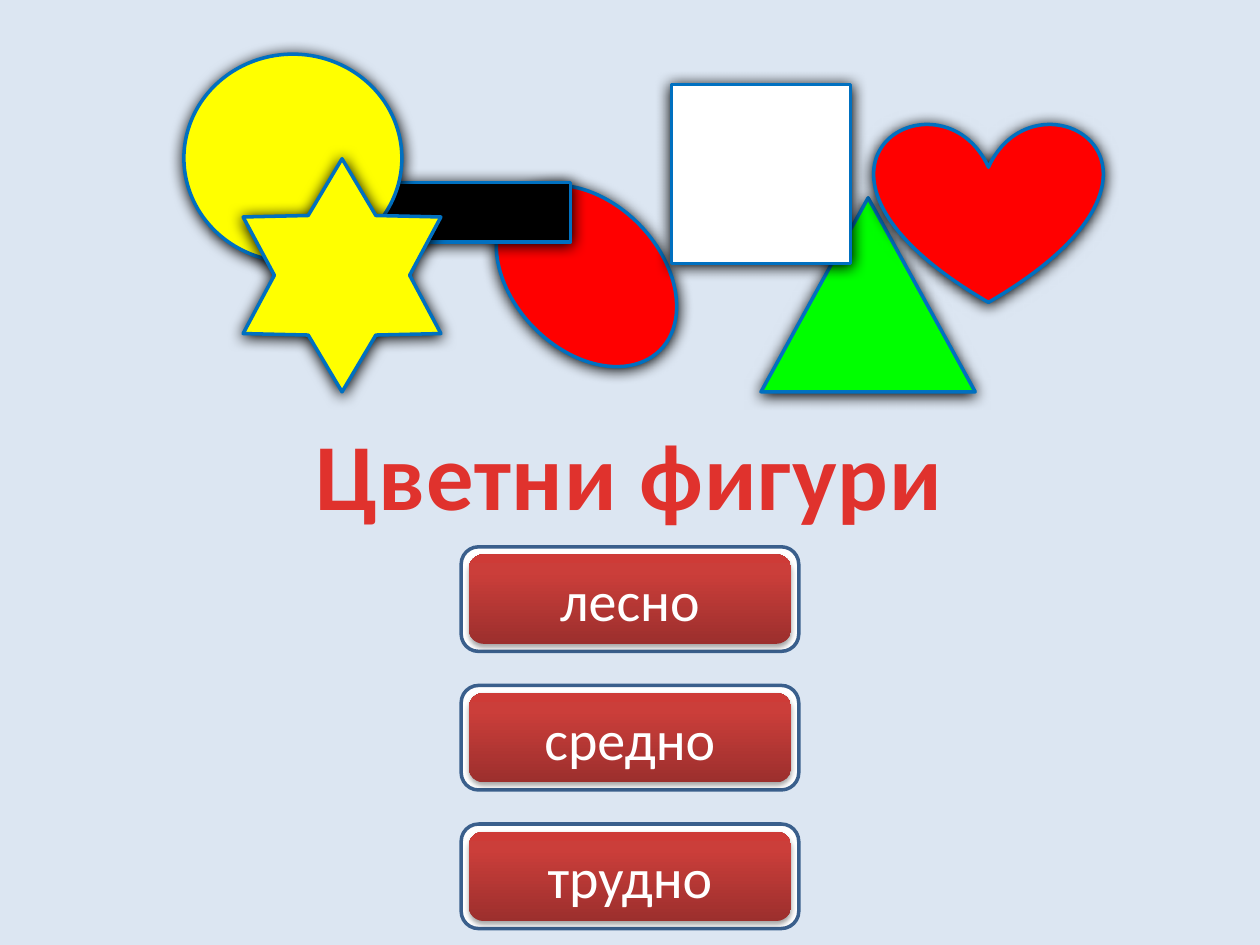
from copy import deepcopy

from lxml import etree
from pptx import Presentation
from pptx.dml.color import RGBColor
from pptx.enum.shapes import MSO_SHAPE
from pptx.enum.text import MSO_ANCHOR, MSO_AUTO_SIZE, PP_ALIGN
from pptx.oxml.ns import qn
from pptx.util import Inches, Pt

OVAL = MSO_SHAPE.OVAL
RECT = MSO_SHAPE.RECTANGLE
ROUND = MSO_SHAPE.ROUNDED_RECTANGLE
STAR = MSO_SHAPE.STAR_6_POINT
TRIANGLE = MSO_SHAPE.ISOSCELES_TRIANGLE
HEART = MSO_SHAPE.HEART
CENTER = PP_ALIGN.CENTER
MIDDLE = MSO_ANCHOR.MIDDLE
GROW = MSO_AUTO_SIZE.SHAPE_TO_FIT_TEXT

PALE = RGBColor(0xDC, 0xE6, 0xF2)
RED = RGBColor(0xFF, 0x00, 0x00)
YELLOW = RGBColor(0xFF, 0xFF, 0x00)
GREEN = RGBColor(0x00, 0xFF, 0x00)
BLACK = RGBColor(0x00, 0x00, 0x00)
WHITE = RGBColor(0xFF, 0xFF, 0xFF)
BLUE = RGBColor(0x00, 0x70, 0xC0)
NAVY = RGBColor(0x3A, 0x5F, 0x8C)
TITLE_RED = RGBColor(0xE0, 0x32, 0x2D)
SHADES = [(0, RGBColor(0x9C, 0x2F, 0x2D)),
          (0.8, RGBColor(0xCB, 0x3E, 0x3A)),
          (1, RGBColor(0xCE, 0x3B, 0x37))]
FONT = "Calibri"

# kind, left, top, width, height, turn, fill; from back to front,
# measured from the corner of the figure area
FIGURES = [
    (OVAL, 2.61, 0.93, 1.17, 1.66, 315.5, RED),
    (RECT, 1.1, 1.02, 1.97, 0.47, 0, BLACK),
    (OVAL, 0, 0, 1.73, 1.65, 0, YELLOW),
    (STAR, 0.47, 0.83, 1.57, 1.85, 0, YELLOW),
    (TRIANGLE, 4.58, 1.14, 1.7, 1.54, 0, GREEN),
    (RECT, 3.87, 0.24, 1.42, 1.42, 0, WHITE),
    (HEART, 5.48, 0.54, 1.81, 1.43, 0, RED),
]
LEVELS = ["лесно", "средно", "трудно"]


def add_part(parent, kind, left, top, width, height):
    part = parent.add_shape(kind, Inches(left), Inches(top),
                            Inches(width), Inches(height))
    part.shadow.inherit = False
    return part


def paint(part, fill, line):
    part.fill.solid()
    part.fill.fore_color.rgb = fill
    part.line.color.rgb = line
    part.line.width = Pt(2)


def cast_shadow(part, blur, dist, alpha):
    """Add a black shadow straight below; alpha is in percent."""
    effects = part._element.spPr.find(qn("a:effectLst"))
    outer = etree.SubElement(effects, qn("a:outerShdw"), blurRad=str(Pt(blur)),
                             dist=str(Pt(dist)), dir="5400000", rotWithShape="0")
    color = etree.SubElement(outer, qn("a:srgbClr"), val=str(BLACK))
    etree.SubElement(color, qn("a:alpha"), val=str(alpha * 1000))


def shade(part):
    part.fill.gradient()
    part.fill.gradient_angle = 90
    stops = part._element.spPr.find(qn("a:gradFill")).find(qn("a:gsLst"))
    stops.append(deepcopy(stops[-1]))
    for stop, (place, color) in zip(part.fill.gradient_stops, SHADES):
        stop.position = place
        stop.color.rgb = color


def add_figures(slide, left, top):
    for kind, x, y, width, height, turn, fill in FIGURES:
        figure = add_part(slide.shapes, kind, left + x, top + y, width, height)
        figure.rotation = turn
        if kind == STAR:
            figure.adjustments[0] = 0.296
        paint(figure, fill, BLUE)
        cast_shadow(figure, 8.5, 1, 100)


def set_title(slide, left, top, width, height):
    title = slide.shapes.title
    title.left, title.top = Inches(left), Inches(top)
    title.width, title.height = Inches(width), Inches(height)
    frame = title.text_frame
    frame.text = "Цветни фигури"
    frame.word_wrap = False
    frame.auto_size = GROW
    frame.vertical_anchor = MIDDLE
    line = frame.paragraphs[0]
    line.alignment = CENTER
    line.font.name = FONT
    line.font.size = Pt(54)
    line.font.bold = True
    line.font.color.rgb = TITLE_RED
    line.runs[0]._r.get_or_add_rPr().set("spc", "50")


def add_button(slide, label, left, top, width, height):
    """Place a white frame with a red button inside it."""
    group = slide.shapes.add_group_shape().shapes
    paint(add_part(group, ROUND, left, top, width, height), WHITE, NAVY)
    gap = 0.06
    button = add_part(group, ROUND, left + gap, top + gap,
                      width - 2 * gap, height - 2 * gap)
    shade(button)
    button.line.fill.background()
    cast_shadow(button, 3.1, 1.8, 35)
    frame = button.text_frame
    frame.text = label
    frame.vertical_anchor = MIDDLE
    line = frame.paragraphs[0]
    line.alignment = CENTER
    line.font.name = FONT
    line.font.size = Pt(32)
    line.font.color.rgb = WHITE


def add_menu(slide, left, top, width, height, pitch):
    for row, label in enumerate(LEVELS):
        add_button(slide, label, left, top + row * pitch, width, height)


def main():
    deck = Presentation()
    deck.slide_width, deck.slide_height = Inches(10), Inches(7.5)
    slide = deck.slides.add_slide(deck.slide_layouts[5])
    slide.background.fill.solid()
    slide.background.fill.fore_color.rgb = PALE
    add_figures(slide, 1.46, 0.43)
    set_title(slide, 2.38, 3.25, 5.23, 1.01)
    add_menu(slide, 3.66, 4.34, 2.68, 0.83, 1.1)
    deck.save("out.pptx")


if __name__ == "__main__":
    main()
